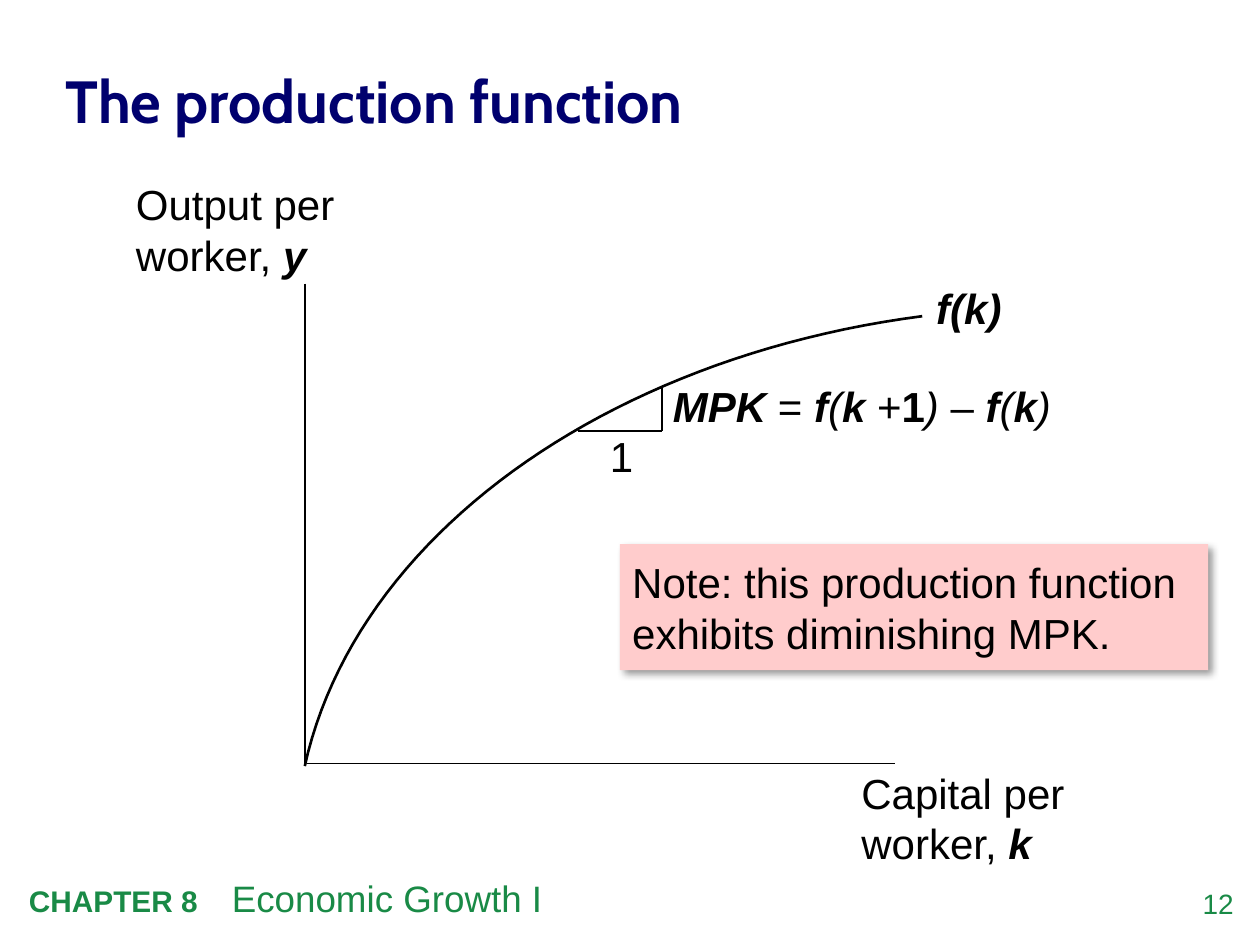
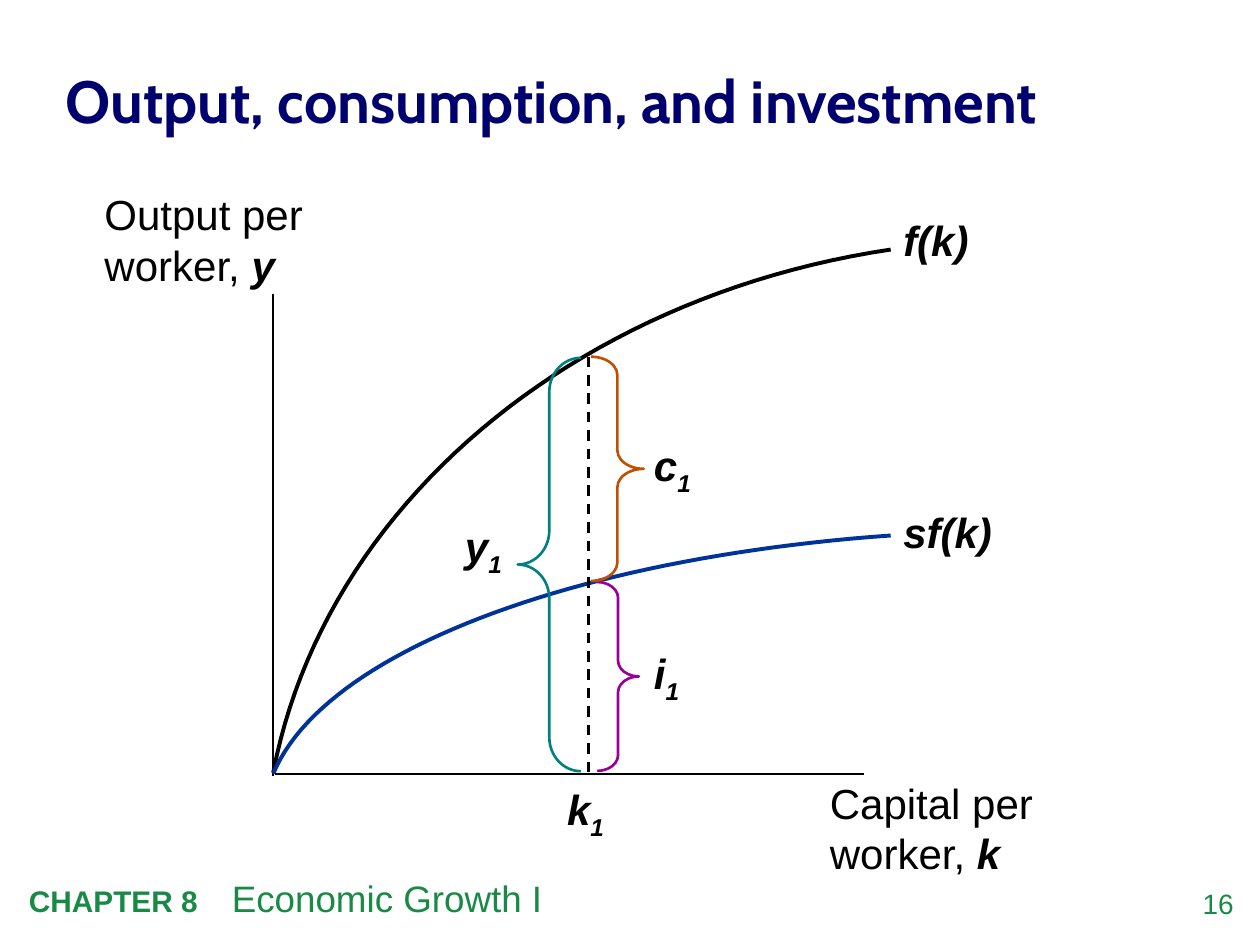
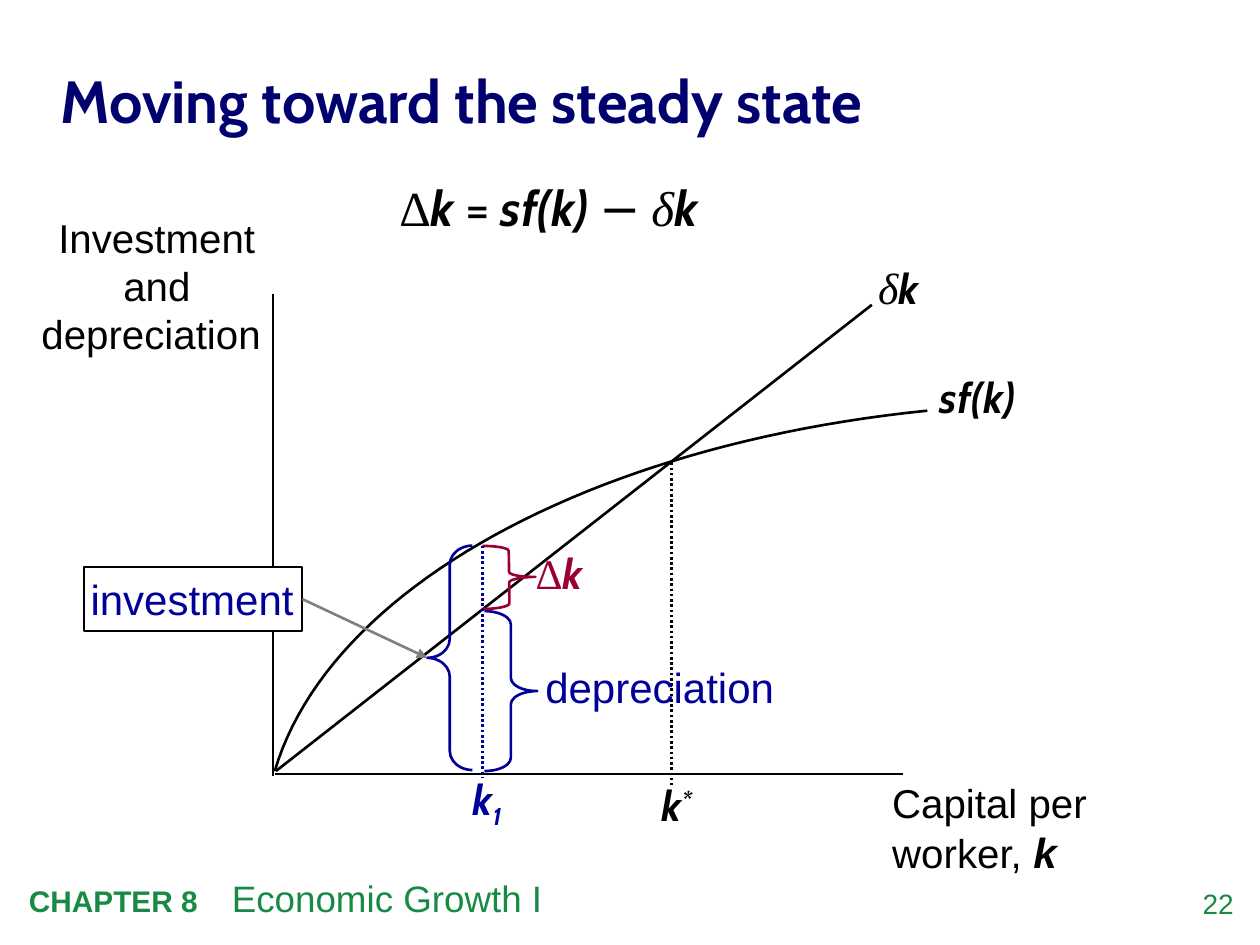
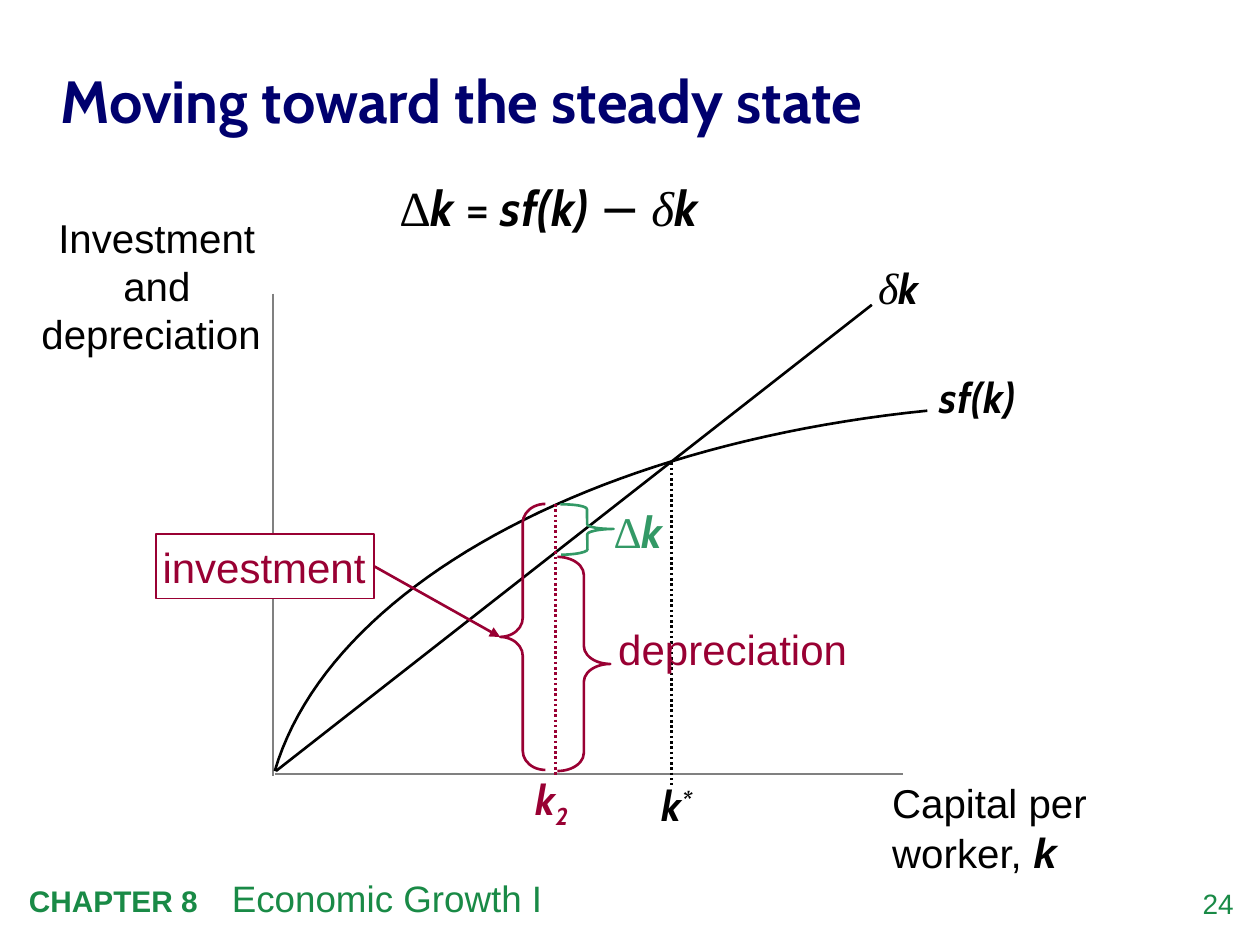
"""Build four slides on growth diagrams: production, investment and the steady state."""
from dataclasses import dataclass

from lxml.etree import SubElement
from pptx import Presentation
from pptx.dml.color import RGBColor
from pptx.enum.dml import MSO_LINE
from pptx.enum.shapes import MSO_CONNECTOR, MSO_SHAPE
from pptx.enum.text import MSO_ANCHOR, MSO_AUTO_SIZE, PP_ALIGN
from pptx.oxml.ns import qn
from pptx.util import Pt

STRAIGHT = MSO_CONNECTOR.STRAIGHT
RECT = MSO_SHAPE.RECTANGLE
LEFT_BRACE, RIGHT_BRACE = MSO_SHAPE.LEFT_BRACE, MSO_SHAPE.RIGHT_BRACE
DASH, DOT = MSO_LINE.DASH, MSO_LINE.ROUND_DOT
LEFT, CENTER, RIGHT = PP_ALIGN.LEFT, PP_ALIGN.CENTER, PP_ALIGN.RIGHT
MIDDLE = MSO_ANCHOR.MIDDLE
FIT, NO_FIT = MSO_AUTO_SIZE.SHAPE_TO_FIT_TEXT, MSO_AUTO_SIZE.NONE
TOP_SIDE, LEFT_SIDE, BOTTOM_SIDE, RIGHT_SIDE = range(4)


@dataclass(frozen=True)
class Theme:
    """Colours, fonts and type sizes."""
    black: str = "000000"
    white: str = "FFFFFF"
    gray: str = "808080"
    title: str = "00006E"
    footer: str = "198A46"
    note: str = "FFCCCC"
    blue: str = "003399"
    navy: str = "000099"
    crimson: str = "990033"
    green: str = "339966"
    teal: str = "008080"
    purple: str = "990099"
    orange: str = "C24F00"
    body_font: str = "Arial"
    head_font: str = "Cabin"
    greek_font: str = "Times New Roman"
    title_size: int = 34
    formula_size: int = 28
    greek_size: int = 25
    body_size: int = 24
    axis_size: int = 23
    topic_size: int = 21
    chapter_size: int = 17
    number_size: int = 16


THEME = Theme()


def rgb(color):
    """Turn a hex string into a colour."""
    return RGBColor.from_string(color)


def var(text, **fmt):
    """Give a bold italic run, as used for variables."""
    return text, dict(bold=True, italic=True, **fmt)


def greek(text, **fmt):
    """Give a run in the font for Greek letters."""
    return text, dict(font=THEME.greek_font, **fmt)


def write(p, text, size=THEME.body_size, font=THEME.body_font, color=THEME.black,
          bold=False, italic=False, baseline=0):
    """Add formatted text to a paragraph, with a line break at each newline."""
    for i, part in enumerate(text.split("\n")):
        if i:
            p.add_line_break()
        r = p.add_run()
        r.text = part
        r.font.size, r.font.name = Pt(size), font
        r.font.bold, r.font.italic = bold, italic
        r.font.color.rgb = rgb(color)
        if baseline:
            r._r.get_or_add_rPr().set("baseline", str(baseline * 1000))


class Deck:
    """Holds the style and the current slide, and draws each kind of element."""

    def __init__(self, theme):
        """Start an empty presentation of 10 by 7.5 inches."""
        self.theme = theme
        self.prs = Presentation()
        self.prs.slide_width, self.prs.slide_height = Pt(720), Pt(540)

    def slide(self, title, number, at):
        """Add a slide with its title and footer."""
        t = self.theme
        self.s = self.prs.slides.add_slide(self.prs.slide_layouts[5])
        sp = self.s.shapes.title
        sp.left, sp.top, sp.width, sp.height = map(Pt, at)
        self.fill_text(sp, [title], fit=NO_FIT, size=t.title_size,
                       font=t.head_font, color=t.title, bold=True)
        sp.text_frame.paragraphs[0].line_spacing = 1.05
        self.footer(number)

    def footer(self, number):
        """Add the slide number, the chapter and its topic."""
        t = self.theme
        self.text([str(number)], (665.3, 504.7, 39.6, 23), align=RIGHT,
                  size=t.number_size, color=t.footer)
        sp = self.text([("CHAPTER 8\t", dict(size=t.chapter_size, bold=True)),
                        "Economic Growth I"], (9.4, 496.8, 589, 32.4), pad=7.2,
                       size=t.topic_size, color=t.footer)
        pPr = sp.text_frame.paragraphs[0]._p.get_or_add_pPr()
        tabs = SubElement(pPr, qn("a:tabLst"))
        SubElement(tabs, qn("a:tab"), pos=str(Pt(116)), algn="l")

    def fill_text(self, sp, runs, align=LEFT, pad=0, fit=FIT, **fmt):
        """Put runs, plain or with their own format, into a shape."""
        tf = sp.text_frame
        tf.word_wrap, tf.auto_size, tf.vertical_anchor = True, fit, MIDDLE
        tf.margin_left = tf.margin_right = tf.margin_top = tf.margin_bottom = Pt(pad)
        p = tf.paragraphs[0]
        p.alignment = align
        for run in runs:
            text, own = (run, {}) if isinstance(run, str) else run
            write(p, text, **{**fmt, **own})

    def text(self, runs, at, **fmt):
        """Add a text box."""
        sp = self.s.shapes.add_textbox(*map(Pt, at))
        self.fill_text(sp, runs, **fmt)
        return sp

    def shape(self, kind, at, fill=None, line=None, width=1.5):
        """Add a preset shape without a shadow."""
        sp = self.s.shapes.add_shape(kind, *map(Pt, at))
        self.paint(sp, fill, line, width)
        return sp

    def paint(self, sp, fill, line, width):
        """Set the fill and outline of a shape."""
        sp.shadow.inherit = False
        if fill:
            sp.fill.solid()
            sp.fill.fore_color.rgb = rgb(fill)
        else:
            sp.fill.background()
        if line:
            sp.line.color.rgb, sp.line.width = rgb(line), Pt(width)
        else:
            sp.line.fill.background()

    def box(self, text, at, fill, line=None, pad=3.6, shadow=False, **fmt):
        """Add a filled rectangle with text."""
        sp = self.shape(RECT, at, fill, line, 1)
        self.fill_text(sp, [text], pad=pad, **fmt)
        if shadow:
            effects = sp._element.spPr.find(qn("a:effectLst"))
            outer = SubElement(effects, qn("a:outerShdw"), blurRad=str(Pt(4)),
                               dist=str(Pt(3)), dir="2700000", algn="tl", rotWithShape="0")
            clr = SubElement(outer, qn("a:srgbClr"), val=self.theme.black)
            SubElement(clr, qn("a:alpha"), val="40000")
        return sp

    def brace(self, kind, at, color, bend, rotation=0):
        """Add a curly brace."""
        sp = self.shape(kind, at, line=color)
        sp.adjustments[0], sp.adjustments[1] = bend, 0.5
        sp.rotation = rotation
        return sp

    def line(self, start, end, color=THEME.black, width=1.5, dash=None, arrow=False):
        """Add a straight line between two points."""
        sp = self.s.shapes.add_connector(STRAIGHT, *map(Pt, (*start, *end)))
        sp.line.color.rgb, sp.line.width = rgb(color), Pt(width)
        if dash:
            sp.line.dash_style = dash
        if arrow:
            SubElement(sp.line._get_or_add_ln(), qn("a:tailEnd"), type="triangle")
        SubElement(sp._element.spPr, qn("a:effectLst"))
        return sp

    def arrow(self, box, brace, color):
        """Join the right side of a box to the tip of a left brace."""
        sp = self.line((0, 0), (1, 1), color, arrow=True)
        sp.begin_connect(box, RIGHT_SIDE)
        sp.end_connect(brace, LEFT_SIDE)

    def curve(self, controls, color=THEME.black, width=1.5, steps=48):
        """Add a cubic curve given by its four control points."""
        points = []
        for i in range(steps + 1):
            t = i / steps
            weights = ((1 - t) ** 3, 3 * t * (1 - t) ** 2, 3 * t * t * (1 - t), t ** 3)
            points.append([Pt(sum(w * c for w, c in zip(weights, axis)))
                           for axis in zip(*controls)])
        builder = self.s.shapes.build_freeform(*points[0])
        builder.add_line_segments(points[1:], close=False)
        self.paint(builder.convert_to_shape(), None, color, width)


def axes(deck, x, y, width, color=THEME.black):
    """Draw both axes from the top of the vertical one."""
    deck.line((x, y), (x, y + 275.5), color, 1)
    deck.line((x + 1, y + 274.3), (x + width, y + 274.3), color, 1)


def capital_label(deck, x, y, size=THEME.body_size):
    """Name the horizontal axis."""
    deck.text([("Capital per \nworker, ", dict(size=size)), var("k")], (x, y, 126, 57.6))


def output_axes(deck, x, y):
    """Draw axes for output against capital per worker."""
    axes(deck, x, y, 337.3)
    deck.text(["Output per \nworker, ", var("y")], (x - 96.5, y - 59.8, 126, 57.6))
    capital_label(deck, x + 318, y + 276.5)


def production_slide(deck):
    """Show the production function and its marginal product."""
    t = deck.theme
    deck.slide("The production function", 12, (37.4, 24.5, 494.6, 62.6))
    output_axes(deck, 174.2, 162)
    deck.curve([(527, 180.7), (344.9, 204.5), (203, 307.4), (174.2, 437.8)])
    deck.text([var("f(k)")], (535, 161.3, 59.8, 28.8))
    deck.box("Note: this production function exhibits diminishing MPK.",
             (354.2, 311, 336.2, 72), t.note, pad=7.2, shadow=True)
    corner = (378.4, 246.2)
    deck.line((330.5, 246.2), corner, width=1)
    deck.line(corner, (378.4, 221.8), width=1)
    deck.text(["1"], (348.5, 246.2, 23.8, 28.8))
    slant = dict(italic=True)
    deck.text([var("MPK"), " = ", var("f"), ("(", slant), var("k "), "+",
               ("1", dict(bold=True)), (")", slant), " – ", var("f"), ("(", slant),
               var("k"), (")", slant)], (384.5, 217.4, 245.5, 28.8))


def output_slide(deck):
    """Split output per worker into consumption and investment."""
    t = deck.theme
    deck.slide("Output, consumption, and investment", 16, (37.4, 22.3, 648.7, 67.7))
    output_axes(deck, 156.2, 167.8)
    deck.curve([(509, 142.6), (326.2, 169.9), (185, 290.2), (156.2, 441.4)], width=2.25)
    deck.text([var("f(k)")], (516.2, 122.4, 59.8, 28.8))
    deck.curve([(509, 306), (326.2, 319), (185, 373), (156.2, 442.1)], t.blue, 2.25)
    deck.text([var("sf(k)")], (516.2, 289.4, 77.8, 28.8))
    deck.line((336.2, 203.8), (336.2, 444.2), dash=DASH)
    for name, x, y in (("k", 324, 450), ("y", 265.7, 299.5),
                       ("i", 373.7, 372.2), ("c", 373.7, 253.4)):
        deck.text([var(name), var("1", baseline=-25)], (x, y, 41.8, 28.8))
    deck.brace(LEFT_BRACE, (295.9, 204.5, 36, 236.2), t.teal, 0.54)
    deck.brace(RIGHT_BRACE, (341.3, 332.6, 23.8, 108), t.purple, 0.38)
    deck.brace(RIGHT_BRACE, (337.7, 203.8, 30.2, 128.2), t.orange, 0.35)


def steady_base(deck, axis_color):
    """Draw the investment and depreciation lines with the steady state."""
    t = deck.theme
    head = dict(font=t.head_font)
    depreciation = [greek("δ", size=t.greek_size, italic=True), var("k", **head)]
    axes(deck, 156.2, 167.8, 360, axis_color)
    deck.text(["Investment and depreciation "], (17.3, 121.7, 144.7, 82.8),
              align=CENTER, size=t.axis_size)
    capital_label(deck, 509.8, 444, t.axis_size)
    deck.curve([(529.9, 234.7), (337, 254.2), (187.9, 336.2), (157, 440.6)])
    deck.text([var("sf(k)")], (537.1, 212.4, 63.4, 28.8), **head)
    deck.text(depreciation, (501.8, 149, 41.8, 30.2))
    deck.line((157.7, 440.6), (498.2, 174.2))
    deck.line((383.8, 264.2), (383.8, 448.6), dash=DOT)
    deck.text([var("k"), var("*", baseline=30)], (378, 445.7, 41.8, 28.8), **head)
    deck.text([greek("Δ"), var("k "), "= ", var("sf(k) "), "− ",
               greek("δ", italic=True), var("k")], (228.2, 101.5, 244.8, 33.8),
              size=t.formula_size, **head)


def steady_slide(deck, number, title_at, index, k, top, gap, gap_x, gap_size, bend,
                 k_label_x, depreciation_y, box_at, color, gap_color, axis_color,
                 box_line, arrow_color):
    """Show how capital changes at one level below the steady state."""
    t = deck.theme
    head = dict(font=t.head_font)
    deck.slide("Moving toward the steady state", number, title_at)
    steady_base(deck, axis_color)

    low = top + gap + 1.4
    deck.brace(LEFT_BRACE, (k + 1, low, 30.2, 440.6 - low), color, bend, 180)
    deck.text(["depreciation"], (k + 35.8, depreciation_y, 131.8, 28.8), color=color)
    deck.brace(LEFT_BRACE, (gap_x, top, 30.2, gap), gap_color, 0.1, 179.3)
    deck.text([greek("Δ"), var("k", **head)], (gap_x + 30.2, top + 1.2, 41.8, 28.8),
              size=gap_size, color=gap_color)
    deck.text([var("k"), var(index, baseline=-25)], (k_label_x, 444, 41.8, 28.8),
              color=color, **head)
    deck.line((k, top), (k, 444.2), color, dash=DOT)
    box = deck.box("investment", (*box_at, 124.6, 36.7), t.white, box_line, color=color)
    brace = deck.brace(LEFT_BRACE, (k - 31.7, top, 25.9, 440 - top), color, 0.42)
    deck.arrow(box, brace, arrow_color)


def main():
    """Build the slides and save them."""
    t = THEME
    deck = Deck(t)
    production_slide(deck)
    output_slide(deck)
    steady_slide(deck, 22, (34.6, 25.2, 566.6, 61.2), index="1", k=275.8, top=311.8,
                 gap=36, gap_x=275.8, gap_size=t.body_size, bend=0.25, k_label_x=270,
                 depreciation_y=378, box_at=(48.2, 324), color=t.navy,
                 gap_color=t.crimson, axis_color=t.black, box_line=t.black,
                 arrow_color=t.gray)
    steady_slide(deck, 24, (34.6, 21.6, 648.7, 69.1), index="2", k=317.5, top=288,
                 gap=28.8, gap_x=320.4, gap_size=t.greek_size, bend=0.34, k_label_x=306,
                 depreciation_y=356.4, box_at=(89.3, 305.3), color=t.crimson,
                 gap_color=t.green, axis_color=t.gray, box_line=t.crimson,
                 arrow_color=t.crimson)
    deck.prs.save("out.pptx")


if __name__ == "__main__":
    main()
